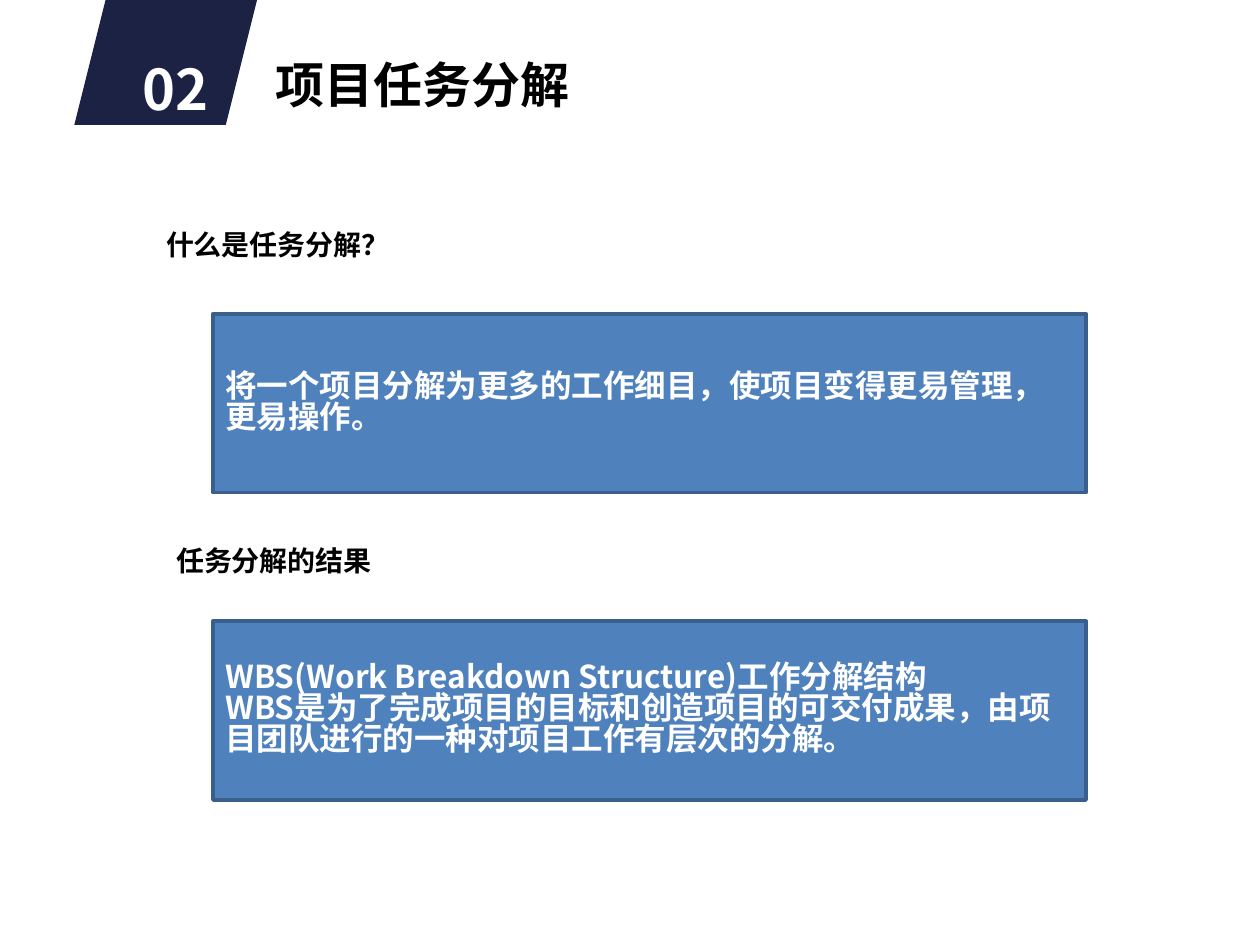
from lxml.etree import SubElement
from pptx import Presentation
from pptx.dml.color import RGBColor
from pptx.enum.shapes import MSO_SHAPE
from pptx.enum.text import MSO_ANCHOR, PP_ALIGN
from pptx.oxml.ns import qn
from pptx.util import Inches, Pt

COLORS = {"navy": "1B2244", "blue": "4F81BD", "edge": "3A5F8C",
          "black": "000000", "white": "FFFFFF"}


def color(name):
    return RGBColor.from_string(COLORS[name])


class Board:
    font = "Noto Sans CJK SC"

    def __init__(self, slide):
        self.slide = slide

    def fill_text(self, shape, lines, size, ink, anchor, space):
        frame = shape.text_frame
        frame.word_wrap = True
        frame.vertical_anchor = anchor
        frame.text = "\n".join(lines)
        for para in frame.paragraphs:
            para.alignment = PP_ALIGN.LEFT
            para.line_spacing = space
            para.font.size = Pt(size)
            para.font.bold = True
            para.font.name = self.font
            para.font.color.rgb = color(ink)
            for run in para.runs:
                props = run._r.get_or_add_rPr()
                SubElement(props, qn("a:ea"), typeface=self.font)

    def shape(self, kind, left, top, width, height, fill, edge=None):
        shape = self.slide.shapes.add_shape(
            kind, Inches(left), Inches(top), Inches(width), Inches(height))
        shape.shadow.inherit = False
        shape.fill.solid()
        shape.fill.fore_color.rgb = color(fill)
        if edge:
            shape.line.color.rgb = color(edge)
            shape.line.width = Pt(2)
        else:
            shape.line.fill.background()
        return shape

    def label(self, text, left, top, width, height, size,
              ink="black", anchor=MSO_ANCHOR.TOP):
        box = self.slide.shapes.add_textbox(
            Inches(left), Inches(top), Inches(width), Inches(height))
        self.fill_text(box, [text], size, ink, anchor, 0.88)

    def panel(self, top, lines):
        box = self.shape(MSO_SHAPE.RECTANGLE, 1.69, top, 6.93, 1.42, "blue", "edge")
        self.fill_text(box, lines, 18, "white", MSO_ANCHOR.MIDDLE, 0.82)


def main():
    deck = Presentation()
    deck.slide_width, deck.slide_height = Inches(10), Inches(7.5)
    board = Board(deck.slides.add_slide(deck.slide_layouts[6]))
    board.shape(MSO_SHAPE.PARALLELOGRAM, 0.59, 0, 1.45, 0.99, "navy")
    board.label("项目任务分解", 2.09, 0.4, 7.41, 0.59, 28, anchor=MSO_ANCHOR.MIDDLE)
    board.label("02", 1.03, 0.45, 0.9, 0.55, 32, "white")
    board.label("什么是任务分解？", 1.22, 1.79, 2.53, 0.55, 16)
    board.panel(2.49, ["将一个项目分解为更多的工作细目，使项目变得更易管理，更易操作。"])
    board.label("任务分解的结果", 1.3, 4.3, 2.53, 0.55, 16)
    board.panel(4.93, [
        "WBS(Work Breakdown Structure)工作分解结构",
        "WBS是为了完成项目的目标和创造项目的可交付成果，由项目团队进行的一种对项目工作有层次的分解。",
    ])
    deck.save("out.pptx")


if __name__ == "__main__":
    main()
